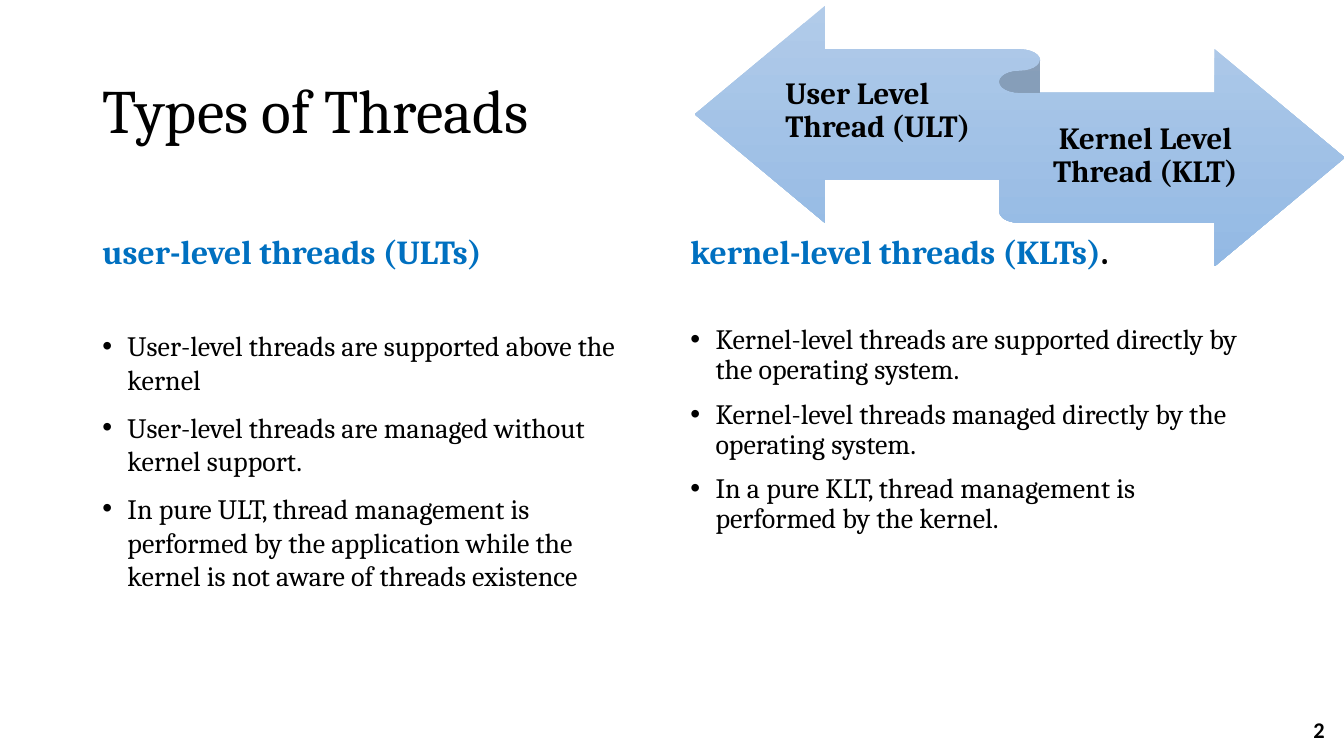
from dataclasses import dataclass

from lxml.etree import SubElement
from pptx import Presentation
from pptx.dml.color import RGBColor
from pptx.enum.shapes import MSO_SHAPE
from pptx.enum.text import MSO_ANCHOR, MSO_AUTO_SIZE, PP_ALIGN
from pptx.oxml.ns import qn
from pptx.util import Inches, Pt

COLUMNS, ROWS = 160, 90
CELL = Inches(1) / 12


@dataclass(frozen=True)
class Theme:
    """Colours, fonts and type sizes of the slide."""
    ink: RGBColor = RGBColor.from_string("000000")
    accent: RGBColor = RGBColor.from_string("0070C0")
    ribbon_top: RGBColor = RGBColor.from_string("B1CBE9")
    ribbon_bottom: RGBColor = RGBColor.from_string("93B9E4")
    serif: str = "Cambria"
    sans: str = "Calibri"
    title: int = 44
    heading: int = 24
    label: int = 22
    body: int = 20
    number: int = 16


@dataclass(frozen=True)
class Box:
    """A region measured in grid cells."""
    left: float
    top: float
    width: float
    height: float

    def inner(self, left, top, width, height):
        """Return a region placed relative to this one."""
        return Box(self.left + left, self.top + top, width, height)

    def emu(self):
        """Return left, top, width and height as lengths."""
        return [round(cells * CELL) for cells in (self.left, self.top, self.width, self.height)]


THEME = Theme()


def style_run(run, size, color=THEME.ink, bold=False, font=THEME.serif):
    """Format one run."""
    run.font.name = font
    run.font.size = Pt(size)
    run.font.bold = bold
    run.font.color.rgb = color


def set_frame(frame, anchor):
    """Make a text frame wrap at a fixed size."""
    frame.word_wrap = True
    frame.auto_size = MSO_AUTO_SIZE.NONE
    frame.vertical_anchor = anchor


def add_text(shapes, box, text, size, anchor=MSO_ANCHOR.MIDDLE, align=PP_ALIGN.LEFT,
             spacing=0.9, **style):
    """Add a one-paragraph text box and return it."""
    textbox = shapes.add_textbox(*box.emu())
    set_frame(textbox.text_frame, anchor)
    paragraph = textbox.text_frame.paragraphs[0]
    paragraph.text = text
    paragraph.alignment = align
    paragraph.line_spacing = spacing
    style_run(paragraph.runs[0], size, **style)
    return textbox


def place_title(slide, box, text):
    """Move and format the title placeholder."""
    title = slide.shapes.title
    title.left, title.top, title.width, title.height = box.emu()
    set_frame(title.text_frame, MSO_ANCHOR.MIDDLE)
    paragraph = title.text_frame.paragraphs[0]
    paragraph.text = text
    paragraph.alignment = PP_ALIGN.LEFT
    paragraph.line_spacing = 0.9
    style_run(paragraph.runs[0], THEME.title)


def add_bullet(paragraph):
    """Give a paragraph a hanging bullet."""
    properties = paragraph._p.get_or_add_pPr()
    properties.set("marL", str(Inches(0.25)))
    properties.set("indent", str(-Inches(0.25)))
    SubElement(properties, qn("a:buFont"), typeface="Arial")
    SubElement(properties, qn("a:buChar"), char="•")


def add_thread_column(slide, box, heading, ending, points, spacing):
    """Add a heading above its bulleted points."""
    heading_rows = 10.8
    heading_box = add_text(slide.shapes, box.inner(0, 0, box.width, heading_rows), heading,
                           THEME.heading, MSO_ANCHOR.BOTTOM, color=THEME.accent, bold=True)
    if ending:
        run = heading_box.text_frame.paragraphs[0].add_run()
        run.text = ending
        style_run(run, THEME.heading, bold=True)

    list_top = heading_rows + 1.67 + 4 * spacing
    list_box = box.inner(0, list_top, box.width, box.height - list_top)
    frame = slide.shapes.add_textbox(*list_box.emu()).text_frame
    set_frame(frame, MSO_ANCHOR.TOP)
    frame.text = "\n".join(points)
    for index, paragraph in enumerate(frame.paragraphs):
        add_bullet(paragraph)
        paragraph.line_spacing = spacing
        paragraph.space_before = Pt(10 if index else 0)
        style_run(paragraph.runs[0], THEME.body)


def add_thread_ribbon(slide, box):
    """Add the two-way ribbon with a label on each arm."""
    shapes = slide.shapes.add_group_shape().shapes
    ribbon = shapes.add_shape(MSO_SHAPE.LEFT_RIGHT_RIBBON, *box.emu())
    ribbon.shadow.inherit = False
    ribbon.line.fill.background()
    ribbon.fill.gradient()
    ribbon.fill.gradient_angle = 270
    for stop, color in zip(ribbon.fill.gradient_stops, (THEME.ribbon_top, THEME.ribbon_bottom)):
        stop.color.rgb = color

    labels = (
        ("User Level Thread (ULT)", box.inner(10.8, 5, 25.6, 15.1), PP_ALIGN.LEFT),
        ("Kernel Level Thread (KLT)", box.inner(38.6, 10.3, 30.1, 15.1), PP_ALIGN.CENTER),
    )
    for text, label_box, align in labels:
        label = add_text(shapes, label_box, text, THEME.label, align=align, bold=True)
        label.text_frame.margin_left = label.text_frame.margin_right = 0


def build_comparison(presentation):
    """Build the slide comparing the two types of threads."""
    slide = presentation.slides.add_slide(presentation.slide_layouts[5])
    place_title(slide, Box(11, 4.8, 138, 17.4), "Types of Threads")
    add_thread_column(slide, Box(11, 22.1, 67.7, 59.1), "user-level threads (ULTs)", "", (
        "User-level threads are supported above the kernel",
        "User-level threads are managed without kernel support.",
        "In pure ULT, thread management is performed by the application "
        "while the kernel is not aware of threads existence",
    ), spacing=1.0)
    add_thread_column(slide, Box(81, 22.1, 68, 59.1), "kernel-level threads (KLTs)", ".", (
        "Kernel-level threads are supported directly by the operating system.",
        "Kernel-level threads managed directly by the operating system.",
        "In a pure KLT, thread management is performed by the kernel.",
    ), spacing=0.9)
    add_text(slide.shapes, Box(122.9, 84.4, 36, 4.8), "2", THEME.number,
             align=PP_ALIGN.RIGHT, spacing=1.0, bold=True, font=THEME.sans)
    add_thread_ribbon(slide, Box(82.7, 0.7, 77.4, 31))


def main():
    """Create and save the presentation."""
    presentation = Presentation()
    presentation.slide_width = round(COLUMNS * CELL)
    presentation.slide_height = round(ROWS * CELL)
    build_comparison(presentation)
    presentation.save("out.pptx")


if __name__ == "__main__":
    main()
